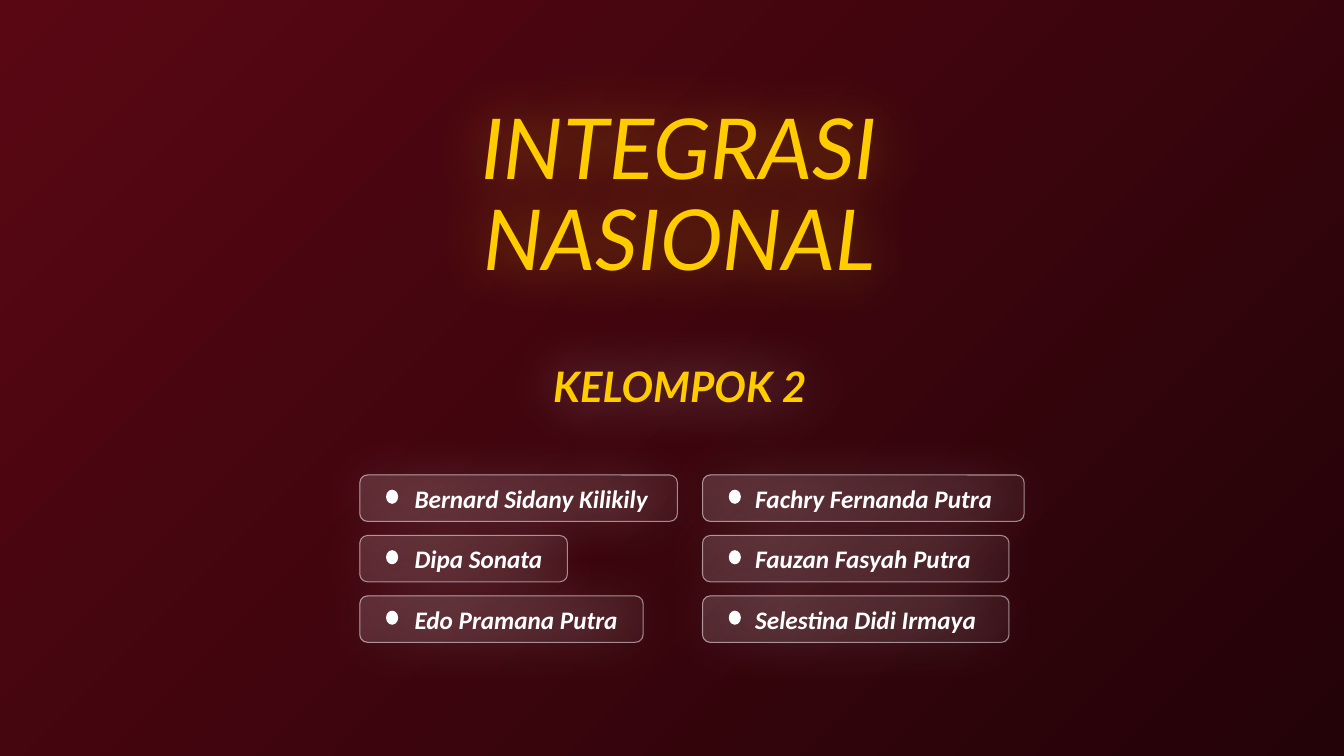
from lxml.etree import SubElement
from pptx import Presentation
from pptx.dml.color import RGBColor
from pptx.enum.shapes import MSO_SHAPE
from pptx.enum.text import MSO_ANCHOR, PP_ALIGN
from pptx.oxml.ns import qn
from pptx.util import Emu, Inches, Pt

COLS, ROWS = 160, 90
UNIT = Inches(1) / 12
WHITE, GOLD = "FFFFFF", "FFCC00"
MEMBERS = [
    (42.84, 0.52, [("Bernard Sidany Kilikily", 37.8), ("Dipa Sonata", 24.72),
                   ("Edo Pramana Putra", 33.72)]),
    (83.64, 0.5, [("Fachry Fernanda Putra", 38.28), ("Fauzan Fasyah Putra", 36.48),
                  ("Selestina Didi Irmaya", 36.48)]),
]


def rgb(value):
    return RGBColor.from_string(value)


def grid(*lengths):
    return [Emu(round(n * UNIT)) for n in lengths]


def add_color(parent, value, alpha=100):
    color = SubElement(parent, qn("a:srgbClr"), val=value)
    if alpha < 100:
        SubElement(color, qn("a:alpha"), val=str(alpha * 1000))


def set_corner_gradient(props, stops):
    old = props.find(qn("a:solidFill"))
    grad = SubElement(props, qn("a:gradFill"), rotWithShape="1")
    props.replace(old, grad)
    stop_list = SubElement(grad, qn("a:gsLst"))
    for pos, value, alpha in stops:
        add_color(SubElement(stop_list, qn("a:gs"), pos=str(pos * 1000)), value, alpha)
    path = SubElement(grad, qn("a:path"), path="circle")
    SubElement(path, qn("a:fillToRect"), r="100000", b="100000")


def set_glow(sp, value):
    sp.shadow.inherit = False
    effects = sp.element.spPr.find(qn("a:effectLst"))
    shadow = SubElement(effects, qn("a:outerShdw"), blurRad=str(Pt(40)),
                        dist="0", dir="0", algn="ctr", rotWithShape="0")
    add_color(shadow, value, 40)


def write(sp, text, font, size, color, bold, align):
    tf = sp.text_frame
    tf.word_wrap = True
    tf.vertical_anchor = MSO_ANCHOR.MIDDLE
    tf.text = text
    p = tf.paragraphs[0]
    p.alignment = align
    r = p.runs[0]
    r.font.name, r.font.size = font, Pt(size)
    r.font.bold, r.font.italic = bold, True
    r.font.color.rgb = rgb(color)
    return p


def add_background(s):
    s.background.fill.solid()
    props = s.element.xpath(".//p:bgPr")[0]
    set_corner_gradient(props, [(0, "590713", 100), (100, "230308", 100)])


def add_heading(s, x, y, w):
    title = s.shapes.title
    title.left, title.top, title.width, title.height = grid(x, y, w, 23.04)
    p = write(title, "INTEGRASI NASIONAL", "Lato", 60, GOLD, False, PP_ALIGN.CENTER)
    p.line_spacing = 0.9
    set_glow(title, GOLD)
    group = s.shapes.add_textbox(*grid(x + 13.08, y + 30.24, 39.72, 7.32))
    write(group, "KELOMPOK 2", "Lato", 30, GOLD, True, PP_ALIGN.CENTER)
    set_glow(group, WHITE)


def add_badge(s, name, x, y, w, h, indent):
    badge = s.shapes.add_shape(MSO_SHAPE.ROUNDED_RECTANGLE, *grid(x, y, w, h))
    badge.fill.solid()
    set_corner_gradient(badge.element.spPr, [(0, WHITE, 15), (100, WHITE, 5)])
    badge.line.width = Pt(0.75)
    badge.line.color.rgb = rgb(WHITE)
    line_color = badge.line.fill.fore_color
    line_color.rgb = rgb(WHITE)
    line_node = badge.element.spPr.xpath("./a:ln/a:solidFill/a:srgbClr")[0]
    SubElement(line_node, qn("a:alpha"), val="50000")
    set_glow(badge, WHITE)
    write(badge, name, "Calibri", 18, WHITE, True, PP_ALIGN.LEFT)
    tf = badge.text_frame
    tf.margin_left, tf.margin_right = Inches(indent), 0
    tf.margin_top = tf.margin_bottom = 0

    dot = s.shapes.add_shape(MSO_SHAPE.OVAL, *grid(x + 3.12, y + 1.75, 1.44, 1.68))
    dot.shadow.inherit = False
    dot.fill.solid()
    dot.fill.fore_color.rgb = rgb(WHITE)
    dot.line.fill.background()


def add_members(s, y, pitch, height):
    for x, indent, members in MEMBERS:
        for row, (name, width) in enumerate(members):
            add_badge(s, name, x, y + row * pitch, width, height, indent)


def main():
    prs = Presentation()
    prs.slide_width, prs.slide_height = grid(COLS, ROWS)
    s = prs.slides.add_slide(prs.slide_layouts[5])
    add_background(s)
    add_heading(s, 48, 12, 65.76)
    add_members(s, 56.55, 7.2, 5.52)
    prs.save("out.pptx")


if __name__ == "__main__":
    main()
